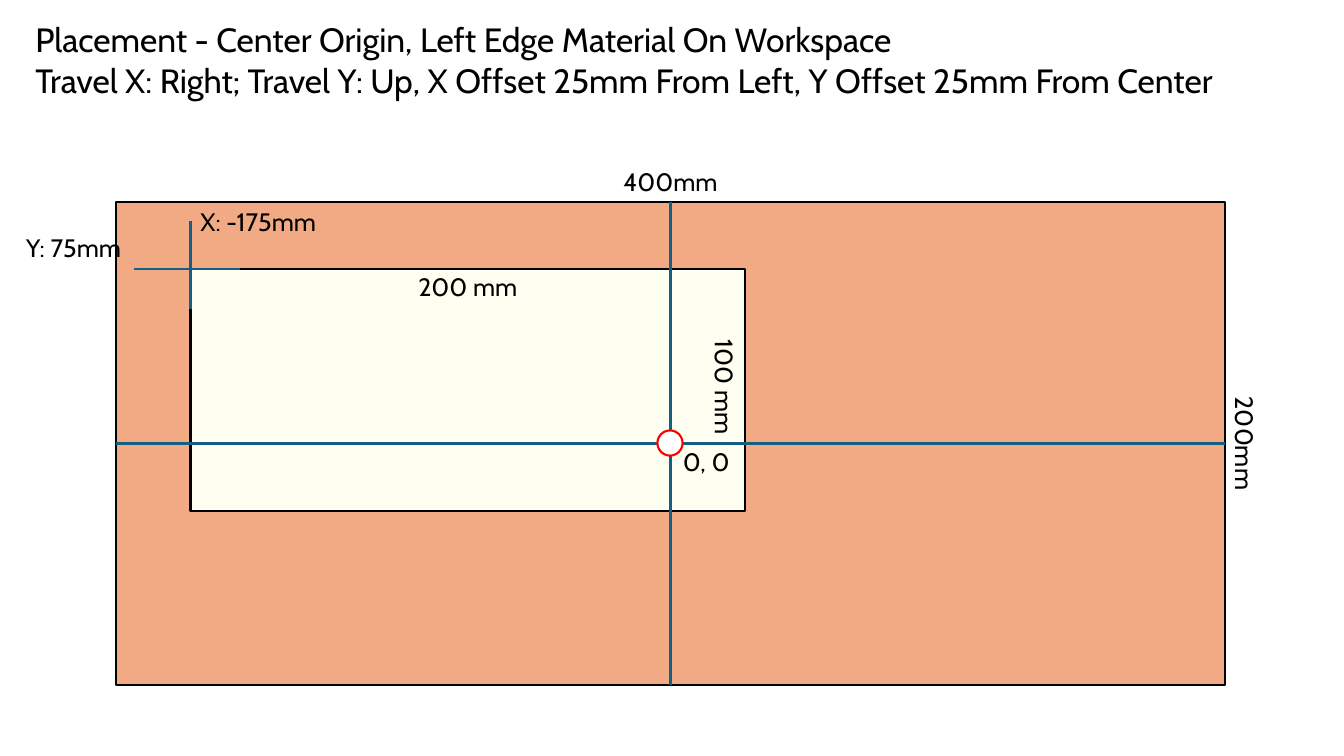
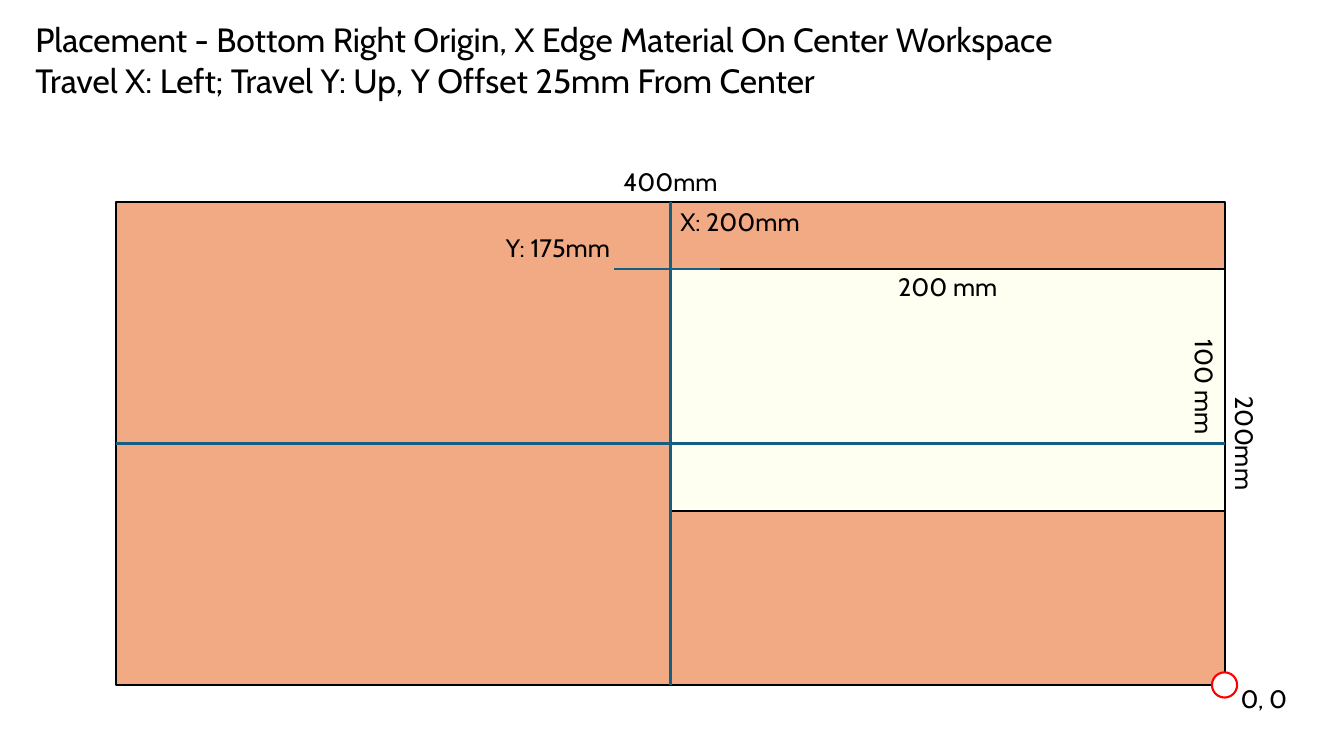
from lxml import etree
from pptx import Presentation, util as u
from pptx.dml.color import RGBColor
from pptx.enum import shapes, text as t
from pptx.oxml.ns import qn

PX = 9144
FONT = "Cabin"
COLORS = {"ink": "000000", "workspace": "F2AA84", "material": "FFFFF1",
          "guide": "156082", "origin": "FF0000", "white": "FFFFFF"}
LEFT, CENTER = t.PP_ALIGN.LEFT, t.PP_ALIGN.CENTER
BED_LEFT, BED_TOP, BED_WIDTH, BED_HEIGHT = 115, 200, 1100, 480
BED_RIGHT, BED_BOTTOM = BED_LEFT + BED_WIDTH, BED_TOP + BED_HEIGHT
MIDDLE_X, MIDDLE_Y = BED_LEFT + BED_WIDTH // 2, BED_TOP + BED_HEIGHT // 2
MATERIAL_TOP, MATERIAL_WIDTH, MATERIAL_HEIGHT = 267, 550, 240
ORIGIN_SIZE = 25

PLACEMENTS = [
    {"title": ["Placement - Center Origin, Left Edge Material On Workspace",
               "Travel X: Right; Travel Y: Up, X Offset 25mm From Left, Y Offset 25mm From Center"],
     "material_left": 189, "x": "X: -175mm", "y": "Y: 75mm",
     "origin": (MIDDLE_X, MIDDLE_Y), "origin_label": (662, 438)},
    {"title": ["Placement - Bottom Right Origin, X Edge Material On Center Workspace",
               "Travel X: Left; Travel Y: Up, Y Offset 25mm From Center"],
     "material_left": MIDDLE_X, "x": "X: 200mm", "y": "Y: 175mm",
     "origin": (BED_RIGHT, BED_BOTTOM), "origin_label": (1215, 673)},
]


def write_text(frame, lines, size=18, align=CENTER, color="ink"):
    frame.word_wrap = True
    frame.auto_size = t.MSO_AUTO_SIZE.NONE
    frame.vertical_anchor = t.MSO_ANCHOR.TOP
    frame.text = "\n".join(lines)
    for paragraph in frame.paragraphs:
        paragraph.alignment = align
        paragraph.line_spacing = 1.0
        paragraph.space_before = u.Pt(0)
        font = paragraph.runs[0].font
        font.name = FONT
        font.size = u.Pt(size)
        font.color.rgb = RGBColor.from_string(COLORS[color])


def draw_shape(slide, kind, box, fill, line):
    shape = slide.shapes.add_shape(kind, *[value * PX for value in box])
    shape.shadow.inherit = False
    shape.fill.solid()
    shape.fill.fore_color.rgb = RGBColor.from_string(COLORS[fill])
    shape.line.color.rgb = RGBColor.from_string(COLORS[line])
    shape.line.width = u.Pt(1.5)


presentation = Presentation()
presentation.slide_width = 1333 * PX
presentation.slide_height = 750 * PX
title_only = presentation.slide_layouts[5]

for placement in PLACEMENTS:
    slide = presentation.slides.add_slide(title_only)
    title = slide.shapes.title
    title.left, title.top, title.width, title.height = [
        value * PX for value in (25, 14, 1266, 106)]
    write_text(title.text_frame, placement["title"], size=24, align=LEFT)

    material_left = placement["material_left"]
    material_right = material_left + MATERIAL_WIDTH
    rectangle = shapes.MSO_SHAPE.RECTANGLE
    draw_shape(slide, rectangle, (BED_LEFT, BED_TOP, BED_WIDTH, BED_HEIGHT),
               "workspace", "ink")
    draw_shape(slide, rectangle,
               (material_left, MATERIAL_TOP, MATERIAL_WIDTH, MATERIAL_HEIGHT),
               "material", "ink")

    guides = [
        (material_left, 219, material_left, 307),
        (material_left - 56, MATERIAL_TOP, material_left + 49, MATERIAL_TOP),
        (BED_LEFT, MIDDLE_Y, BED_RIGHT, MIDDLE_Y),
        (MIDDLE_X, BED_TOP, MIDDLE_X, BED_BOTTOM),
    ]
    for ends in guides:
        guide = slide.shapes.add_connector(
            shapes.MSO_CONNECTOR.STRAIGHT, *[value * PX for value in ends])
        guide.line.color.rgb = RGBColor.from_string(COLORS["guide"])
        guide.line.width = u.Pt(1.5)
        etree.SubElement(guide._element.spPr, qn("a:effectLst"))

    labels = [
        ("400mm", 518, 160, 294, CENTER, 0),
        ("200mm", 1088, 420, 294, CENTER, 90),
        (placement["x"], material_left, 200, 147, LEFT, 0),
        (placement["y"], material_left - 173, 226, 147, LEFT, 0),
        ("100 mm", material_right - 140, 364, 240, CENTER, 90),
        ("200 mm", material_left, 264, MATERIAL_WIDTH, CENTER, 0),
        ("0, 0", *placement["origin_label"], 77, CENTER, 0),
    ]
    for words, left, top, width, align, rotation in labels:
        label = slide.shapes.add_textbox(left * PX, top * PX, width * PX, 40 * PX)
        label.rotation = rotation
        write_text(label.text_frame, [words], align=align)

    origin_x, origin_y = placement["origin"]
    draw_shape(slide, shapes.MSO_SHAPE.OVAL,
               (origin_x - 13, origin_y - 13, ORIGIN_SIZE, ORIGIN_SIZE),
               "white", "origin")

presentation.save("out.pptx")
